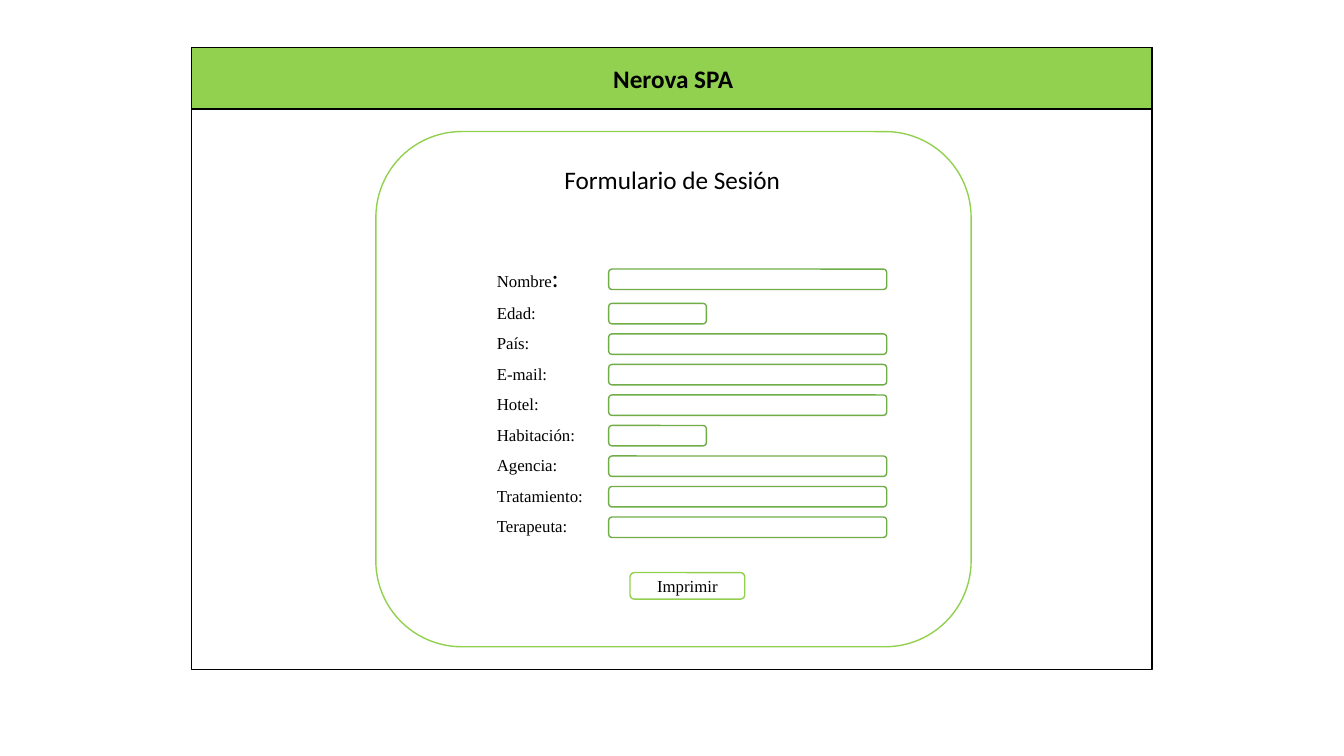
from pptx import Presentation
from pptx.dml.color import RGBColor
from pptx.enum.shapes import MSO_SHAPE as SHAPE
from pptx.enum.text import MSO_ANCHOR as ANCHOR, PP_ALIGN as ALIGN
from pptx.util import Pt

COLORS = {"white": "FFFFFF", "black": "000000", "lime": "92D050", "green": "70AD47"}
SERIF = "Times New Roman"
SANS = "Calibri"

deck = Presentation()
deck.slide_width, deck.slide_height = Pt(960), Pt(540)
slide = deck.slides.add_slide(deck.slide_layouts[6])


def add_box(kind, left, top, width, height, fill, line):
    box = slide.shapes.add_shape(kind, Pt(left), Pt(top), Pt(width), Pt(height))
    box.shadow.inherit = False
    box.fill.solid()
    box.fill.fore_color.rgb = RGBColor.from_string(COLORS[fill])
    box.line.color.rgb = RGBColor.from_string(COLORS[line])
    box.line.width = Pt(1)
    return box


def write(holder, text, font, size, align=ALIGN.LEFT, bold=False):
    holder.text_frame.word_wrap = False
    paragraph = holder.text_frame.paragraphs[0]
    paragraph.text = text
    paragraph.alignment = align
    run = paragraph.runs[0]
    run.font.name = font
    run.font.size = Pt(size)
    run.font.bold = bold
    run.font.color.rgb = RGBColor.from_string(COLORS["black"])
    return paragraph


add_box(SHAPE.RECTANGLE, 136.8, 33.9, 686.2, 444.2, "white", "black")
add_box(SHAPE.RECTANGLE, 136.8, 33.9, 686.2, 44, "lime", "black")
add_box(SHAPE.ROUNDED_RECTANGLE, 268.5, 94, 425.2, 368, "white", "lime")

spa_name = slide.shapes.add_textbox(Pt(429.8), Pt(41.8), Pt(102.2), Pt(29))
write(spa_name, "Nerova SPA", SANS, 18, ALIGN.CENTER, bold=True)
form_title = slide.shapes.add_textbox(Pt(395.3), Pt(113.8), Pt(169.9), Pt(29))
write(form_title, "Formulario de Sesión", SANS, 18, ALIGN.CENTER)

name_label = slide.shapes.add_textbox(Pt(347.8), Pt(183.6), Pt(59), Pt(29))
name_line = write(name_label, "Nombre", SERIF, 12)
colon = name_line.add_run()
colon.text = ":"
colon.font.name = SANS
colon.font.size = Pt(18)
colon.font.color.rgb = RGBColor.from_string(COLORS["black"])
add_box(SHAPE.ROUNDED_RECTANGLE, 434.8, 192.2, 198.6, 14.6, "white", "green")

LONG, SHORT = 198.6, 69.8
ROW_TOP, ROW_PITCH = 212.4, 21.8
fields = [
    ("Edad:", SHORT),
    ("País:", LONG),
    ("E-mail:", LONG),
    ("Hotel:", LONG),
    ("Habitación:", SHORT),
    ("Agencia:", LONG),
    ("Tratamiento:", LONG),
    ("Terapeuta:", LONG),
]
for row, (caption, width) in enumerate(fields):
    top = ROW_TOP + row * ROW_PITCH
    label = slide.shapes.add_textbox(Pt(347.8), Pt(top), Pt(78), Pt(21.8))
    write(label, caption, SERIF, 12)
    add_box(SHAPE.ROUNDED_RECTANGLE, 434.8, top + 4.3, width, 14.6, "white", "green")

print_button = add_box(SHAPE.ROUNDED_RECTANGLE, 450, 409, 82, 19, "white", "lime")
print_button.text_frame.vertical_anchor = ANCHOR.MIDDLE
write(print_button, "Imprimir", SERIF, 12, ALIGN.CENTER)

deck.save("out.pptx")
